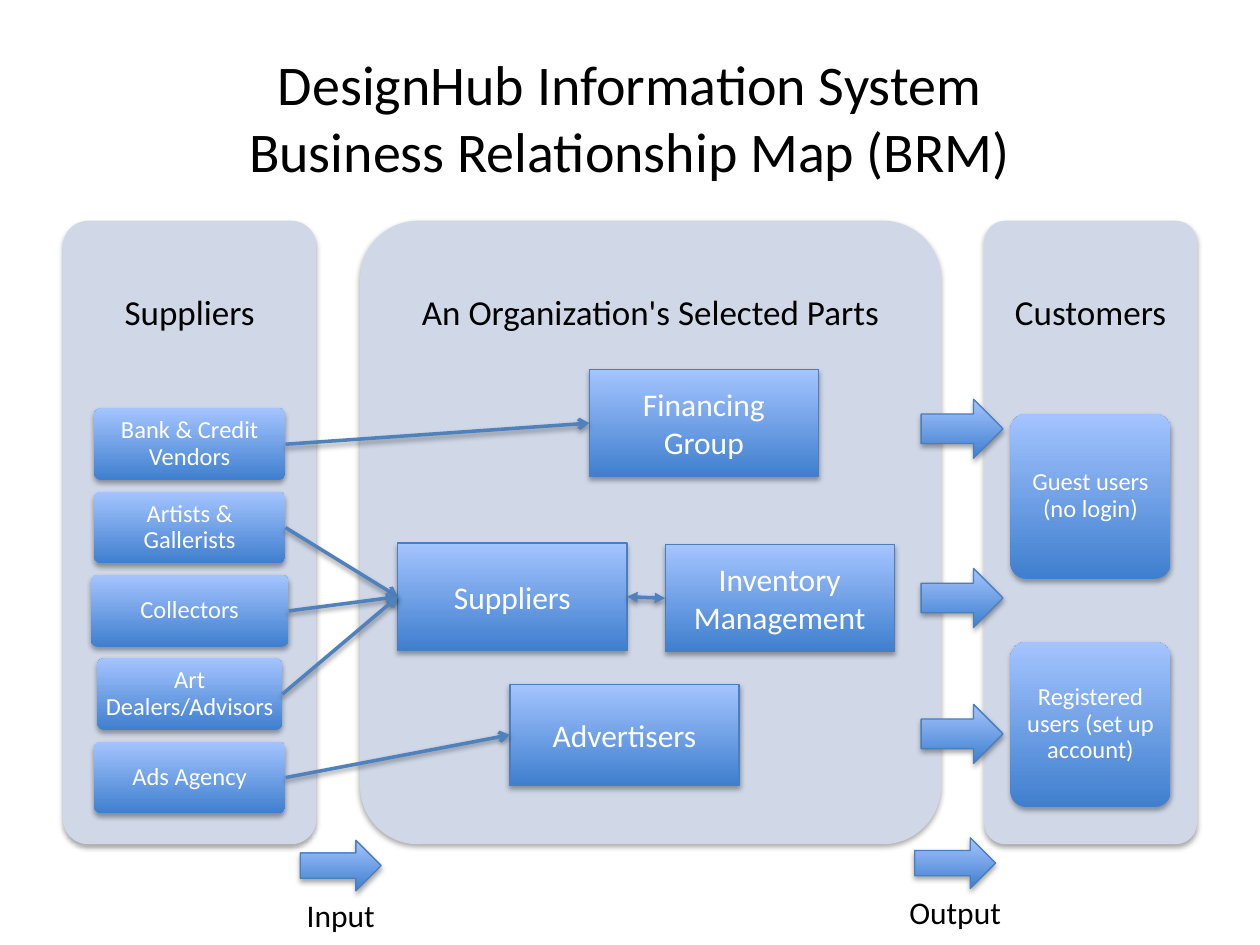
from dataclasses import dataclass

from lxml import etree
from pptx import Presentation
from pptx.dml.color import RGBColor
from pptx.enum.shapes import MSO_CONNECTOR as Connector, MSO_SHAPE as Preset
from pptx.enum.text import MSO_ANCHOR as Anchor, PP_ALIGN as Align
from pptx.oxml.ns import qn
from pptx.util import Cm, Pt


@dataclass(frozen=True)
class Theme:
    font: str = "Calibri"
    ink: str = "000000"
    paper: str = "FFFFFF"
    panel: str = "D0D8E8"
    dark: str = "3F7FCE"
    light: str = "A4C4FF"
    border: str = "4B7EBC"
    flow: str = "4F81BD"
    title_size: int = 32
    heading_size: int = 20
    body_size: int = 18
    card_size: int = 14


@dataclass(frozen=True)
class Box:
    left: float
    top: float
    width: float
    height: float

    def place(self, left, top, width, height):
        return Box(self.left + left, self.top + top, width, height)

    def lengths(self):
        return [Cm(value) for value in (self.left, self.top, self.width, self.height)]


THEME = Theme()
TOP, BOTTOM, LEFT, RIGHT = 0, 2, 1, 3


def apply_format(target, values):
    for name, value in values.items():
        setattr(target, name, value)


def add_shadow(shape, opacity, distance):
    effects = etree.SubElement(shape._element.spPr, qn("a:effectLst"))
    shadow = etree.SubElement(
        effects, qn("a:outerShdw"), blurRad=str(Pt(3.1)), dist=str(Pt(distance)),
        dir="5400000", rotWithShape="0")
    color = etree.SubElement(shadow, qn("a:srgbClr"), val=THEME.ink)
    etree.SubElement(color, qn("a:alpha"), val=str(opacity * 1000))


def write(shape, text, size, color, inset=(0.25, 0.13), spacing=1.0, wrap=True):
    frame = shape.text_frame
    frame.text = text
    across, down = (Cm(value) for value in inset)
    apply_format(frame, {
        "word_wrap": wrap, "vertical_anchor": Anchor.MIDDLE,
        "margin_left": across, "margin_right": across,
        "margin_top": down, "margin_bottom": down,
    })
    for paragraph in frame.paragraphs:
        apply_format(paragraph, {"alignment": Align.CENTER, "line_spacing": spacing})
        for run in paragraph.runs:
            apply_format(run.font, {"name": THEME.font, "size": Pt(size)})
            run.font.color.rgb = RGBColor.from_string(color)


def add_label(slide, box, text, size, **layout):
    label = slide.shapes.add_textbox(*box.lengths())
    write(label, text, size, THEME.ink, **layout)


def add_block(slide, preset, box, fill=None, border=None):
    shape = slide.shapes.add_shape(preset, *box.lengths())
    if preset == Preset.ROUNDED_RECTANGLE:
        shape.adjustments[0] = 0.1
    if fill:
        shape.fill.solid()
        shape.fill.fore_color.rgb = RGBColor.from_string(fill)
    else:
        shape.fill.gradient()
        shape.fill.gradient_angle = 90
        for stop, color in zip(shape.fill.gradient_stops, (THEME.dark, THEME.light)):
            stop.color.rgb = RGBColor.from_string(color)
    if border:
        shape.line.color.rgb = RGBColor.from_string(border)
        shape.line.width = Pt(0.75)
    else:
        shape.line.fill.background()
    add_shadow(shape, 35, 1.8)
    return shape


def add_panel(slide, box, heading):
    add_block(slide, Preset.ROUNDED_RECTANGLE, box, fill=THEME.panel)
    add_label(slide, box.place(0, 0, box.width, 0.3 * box.height), heading,
              THEME.heading_size, inset=(0.2, 0.2), spacing=0.9)


def add_card_panel(slide, box, heading, cards, first_top, height, pitch):
    add_panel(slide, box, heading)
    shapes = []
    for row, (text, width) in enumerate(cards):
        place = box.place((box.width - width) / 2, first_top + row * pitch, width, height)
        card = add_block(slide, Preset.ROUNDED_RECTANGLE, place)
        write(card, text, THEME.card_size, THEME.paper, inset=(0.13, 0.1), spacing=0.9)
        shapes.append(card)
    return shapes


def add_organization(slide, box, heading):
    add_panel(slide, box, heading)
    parts = {}
    for text, left, top, height in (
        ("Financing Group", 4.62, 3.0, 2.16),
        ("Suppliers", 0.76, 6.5, 2.16),
        ("Inventory Management", 6.15, 6.53, 2.16),
        ("Advertisers", 3.02, 9.35, 2.03),
    ):
        part = add_block(slide, Preset.RECTANGLE, box.place(left, top, 4.62, height),
                         border=THEME.border)
        write(part, text, THEME.body_size, THEME.paper)
        parts[text] = part
    for top in (3.6, 7.01, 9.75):
        add_arrow(slide, box.place(11.31, top, 1.65, 1.19))
    return parts


def add_arrow(slide, box):
    add_block(slide, Preset.RIGHT_ARROW, box, border=THEME.border)


def add_flow(slide, source, target, head="none", tail="arrow"):
    flow = slide.shapes.add_connector(Connector.STRAIGHT, 0, 0, 0, 0)
    flow.begin_connect(source, RIGHT)
    flow.end_connect(target, LEFT)
    flow.line.color.rgb = RGBColor.from_string(THEME.flow)
    flow.line.width = Pt(2)
    outline = flow._element.spPr.find(qn("a:ln"))
    for tag, kind in (("a:headEnd", head), ("a:tailEnd", tail)):
        etree.SubElement(outline, qn(tag), type=kind)
    add_shadow(flow, 38, 1.6)


def add_legend(slide, box, text):
    add_arrow(slide, box.place((box.width - 1.63) / 2, 0, 1.63, 1.02))
    add_label(slide, box.place(0, 0.99, box.width, 1.02), text, THEME.body_size, wrap=False)


def main():
    presentation = Presentation()
    apply_format(presentation, {"slide_width": Cm(25.4), "slide_height": Cm(19.05)})
    slide = presentation.slides.add_slide(presentation.slide_layouts[6])

    add_label(slide, Box(1.27, 0.76, 22.86, 3.18),
              "DesignHub Information System\vBusiness Relationship Map (BRM)", THEME.title_size)
    suppliers = add_card_panel(
        slide, Box(1.27, 4.45, 5.11, 12.57), "Suppliers",
        [("Bank & Credit Vendors", 3.86), ("Artists & Gallerists", 3.86),
         ("Collectors", 3.99), ("Art Dealers/Advisors", 3.73), ("Ads Agency", 3.86)],
        first_top=3.78, height=1.45, pitch=1.68)
    add_card_panel(
        slide, Box(19.84, 4.45, 4.29, 12.57), "Customers",
        [("Guest users (no login)", 3.23), ("Registered users (set up account)", 3.23)],
        first_top=3.89, height=3.33, pitch=4.6)
    parts = add_organization(slide, Box(7.26, 4.45, 11.71, 12.57),
                             "An Organization's Selected Parts")

    targets = ("Financing Group", "Suppliers", "Suppliers", "Suppliers", "Advertisers")
    for supplier, target in zip(suppliers, targets):
        add_flow(slide, supplier, parts[target])
    add_flow(slide, parts["Suppliers"], parts["Inventory Management"], "triangle", "triangle")

    add_legend(slide, Box(5.92, 16.94, 1.9, 2.01), "Input")
    add_legend(slide, Box(18.06, 16.89, 2.39, 2.01), "Output")
    presentation.save("out.pptx")


if __name__ == "__main__":
    main()
